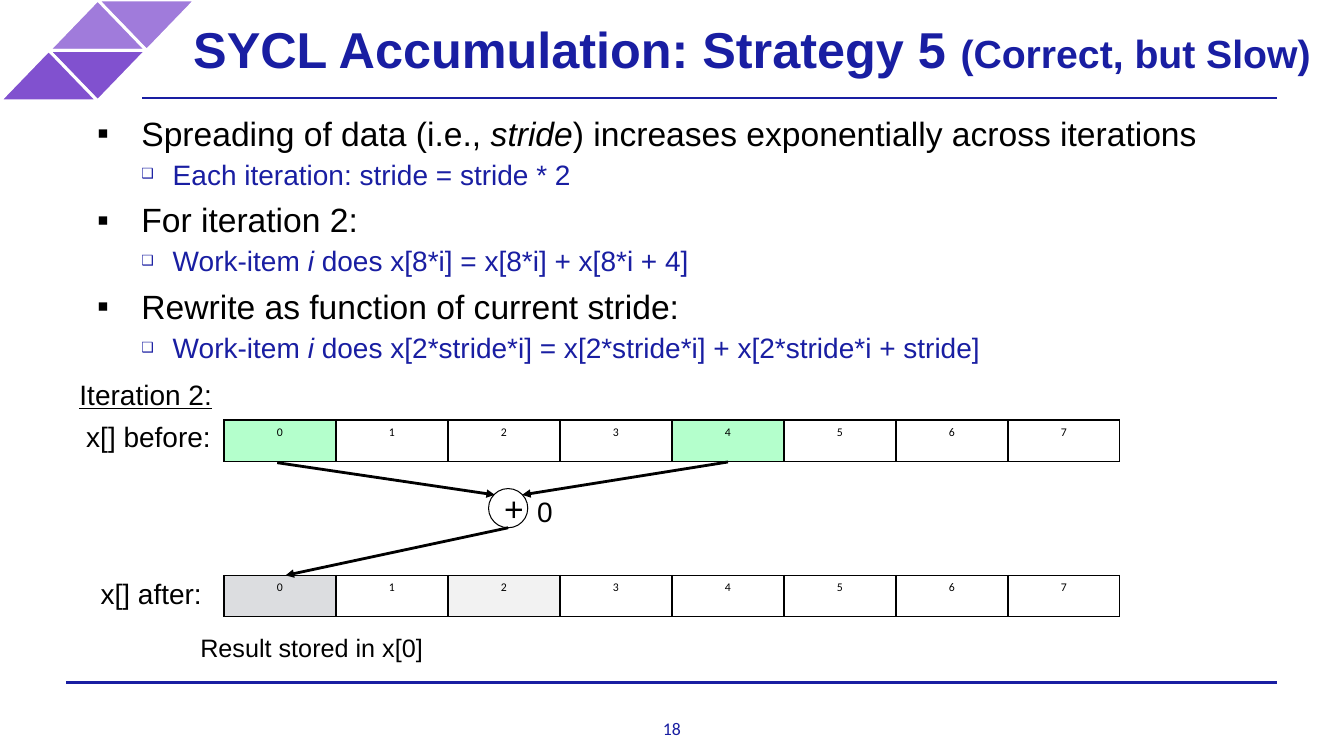
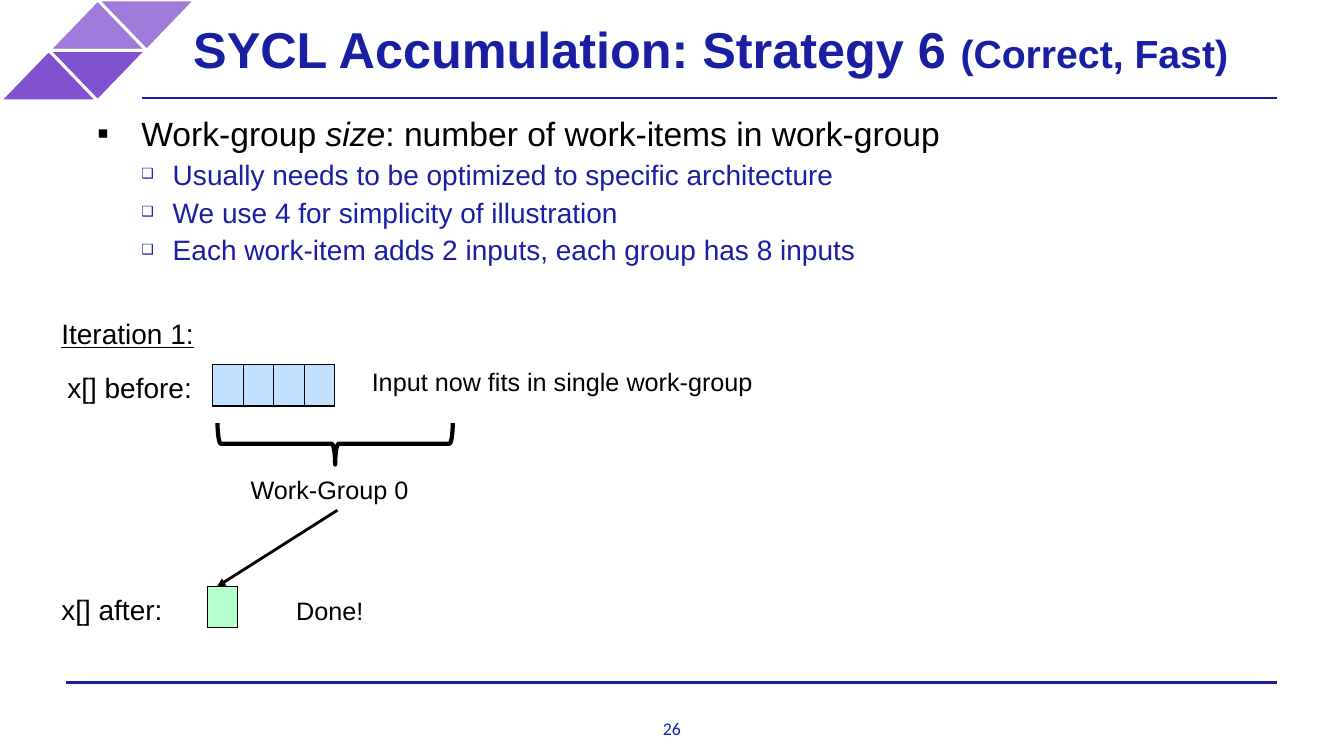
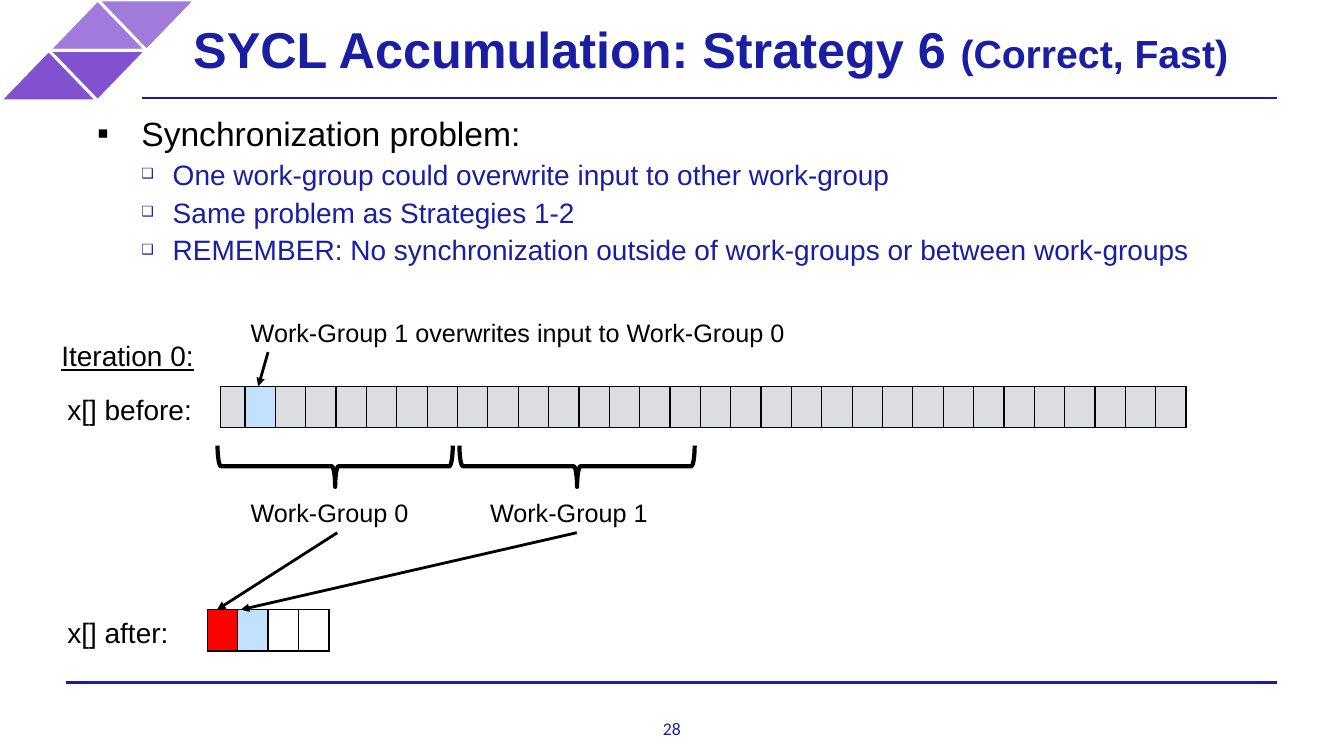
from lxml.etree import SubElement
from pptx import Presentation
from pptx.dml.color import RGBColor
from pptx.enum.shapes import MSO_CONNECTOR, MSO_SHAPE
from pptx.enum.text import MSO_ANCHOR, PP_ALIGN
from pptx.oxml.ns import qn
from pptx.util import Pt

COLORS = {
    "navy": "191EA2", "black": "000000", "white": "FFFFFF", "lilac": "A07BDB",
    "violet": "8151CF", "green": "B4FFCC", "blue": "C1E1FE", "gray": "DCDDE0",
    "pale": "F2F2F2", "red": "FF0000",
}
FORMATS = {
    "title": {"name": "Arial", "size": 36, "bold": True, "color": "navy"},
    "subtitle": {"name": "Arial", "size": 28, "bold": True, "color": "navy"},
    "page": {"name": "Calibri", "size": 12.7, "color": "navy"},
    "label": {"name": "Arial", "size": 20, "color": "black"},
    "heading": {"name": "Arial", "size": 20, "color": "black", "underline": True},
    "note": {"name": "Arial", "size": 18, "color": "black"},
    "plus": {"name": "Arial", "size": 24, "color": "black"},
    "cell": {"name": "Calibri", "size": 8.4, "color": "black"},
}
# Bullet levels: left margin, hanging indent, space before, sign, sign size in %
LEVELS = [
    {"left": 36, "hang": 31.7, "before": 6, "sign": "▪", "percent": 100,
     "format": {"name": "Arial", "size": 24, "color": "black"}},
    {"left": 58.4, "hang": 22.4, "before": 3, "sign": "❑", "percent": 50,
     "format": {"name": "Arial", "size": 20, "color": "navy"}},
]
# Triangles of the corner ornament: left, top, rotation, fill
TRIANGLES = [(70, 0, 180, "lilac"), (35, 0, 0, "lilac"),
             (35, 36, 180, "violet"), (0, 36, 0, "violet")]
RULES = [(47.5, 487.5, 912, 487.5), (101.5, 70, 912, 70)]
ROW_HEIGHT = 29.5
LABEL_HEIGHT = 27.5
SLOT = 21.75

# Bullets: level and text, with _italic_ parts
# Labels: format, text, left, top, width
# Rows: left, top, column widths, fills, cell texts
# Groups: number, brace centre, label left, brace middle, arrow target
SLIDES = [
    {
        "page": "18",
        "title": ("SYCL Accumulation: Strategy 5 ", "(Correct, but Slow)"),
        "bullets": [
            (0, "Spreading of data (i.e., _stride_) increases exponentially across iterations"),
            (1, "Each iteration: stride = stride * 2"),
            (0, "For iteration 2:"),
            (1, "Work-item _i _does x[8*i] = x[8*i] + x[8*i + 4]"),
            (0, "Rewrite as function of current stride:"),
            (1, "Work-item _i _does x[2*stride*i] = x[2*stride*i] + x[2*stride*i + stride]"),
        ],
        "rows": [
            (160, 300, [80] * 8,
             ["green"] + ["white"] * 3 + ["green"] + ["white"] * 3, "01234567"),
            (160, 411, [80] * 8,
             ["gray", "white", "pale"] + ["white"] * 5, "01234567"),
        ],
        "sums": [(349, 349, 28)],
        "labels": [
            ("heading", "Iteration 2:", 49.7, 270, 110),
            ("label", "x[] before:", 54.5, 300, 110),
            ("label", "x[] after:", 64.8, 412, 110),
            ("label", "0", 376.5, 354, 21),
            ("note", "Result stored in x[0]", 136, 449.5, 227),
        ],
        "arrows": [(198, 330.5, 353.5, 353.5), (520, 330, 373, 353.5),
                   (363, 377, 204, 411)],
    },
    {
        "page": "26",
        "title": ("SYCL Accumulation: Strategy 6 ", "(Correct, Fast)"),
        "bullets": [
            (0, "Work-group _size_: number of work-items in work-group"),
            (1, "Usually needs to be optimized to specific architecture"),
            (1, "We use 4 for simplicity of illustration"),
            (1, "Each work-item adds 2 inputs, each group has 8 inputs"),
        ],
        "rows": [
            (152, 260.5, [SLOT] * 4, ["blue"] * 4, ""),
            (148, 419, [SLOT], ["green"], ""),
        ],
        "labels": [
            ("heading", "Iteration 1:", 36.7, 226.5, 110),
            ("label", "x[] before:", 41, 265, 110),
            ("label", "x[] after:", 36.7, 424, 110),
            ("note", "Input now fits in single work-group", 258.5, 259.5, 405),
            ("note", "Done!", 204.5, 423, 69),
        ],
        "groups": [(0, 239.4, 172, 317, (155, 419))],
    },
    {
        "page": "28",
        "title": ("SYCL Accumulation: Strategy 6 ", "(Correct, Fast)"),
        "bullets": [
            (0, "Synchronization problem:"),
            (1, "One work-group could overwrite input to other work-group"),
            (1, "Same problem as Strategies 1-2"),
            (1, "REMEMBER: No synchronization outside of work-groups or between work-groups"),
        ],
        "rows": [
            (157.5, 276, [17.5] + [21.7] * 31,
             ["gray", "blue"] + ["gray"] * 30, ""),
            (148, 435.5, [SLOT] * 4, ["red", "blue", "white", "white"], ""),
        ],
        "labels": [
            ("heading", "Iteration 0:", 36.7, 242.5, 110),
            ("label", "x[] before:", 41, 281, 110),
            ("label", "x[] after:", 41, 440, 110),
            ("note", "Work-Group 1 overwrites input to Work-Group 0", 172, 225, 403),
        ],
        "groups": [(0, 239.4, 172, 333, (155, 435.5)),
                   (1, 412.2, 343, 333, (172, 435.5))],
        "arrows": [(191.5, 251.5, 184.5, 276)],
    },
]


def rgb(name):
    return RGBColor.from_string(COLORS[name])


def add_run(p, text, fmt):
    r = p.add_run()
    r.text = text
    for key, value in fmt.items():
        if key == "color":
            r.font.color.rgb = rgb(value)
        else:
            setattr(r.font, key, Pt(value) if key == "size" else value)


def add_box(s, left, top, width, height, inset=None):
    box = s.shapes.add_textbox(Pt(left), Pt(top), Pt(width), Pt(height))
    tf = box.text_frame
    tf.word_wrap = True
    if inset is not None:
        for side in ("left", "top", "right", "bottom"):
            setattr(tf, f"margin_{side}", Pt(inset))
    return box


def add_preset(s, kind, left, top, width, height, line, weight, fill=None):
    sp = s.shapes.add_shape(kind, Pt(left), Pt(top), Pt(width), Pt(height))
    sp.shadow.inherit = False
    if fill:
        sp.fill.solid()
        sp.fill.fore_color.rgb = rgb(fill)
    else:
        sp.fill.background()
    sp.line.color.rgb = rgb(line)
    sp.line.width = Pt(weight)
    return sp


def add_line(s, ends, color, arrow=False):
    c = s.shapes.add_connector(MSO_CONNECTOR.STRAIGHT, *(Pt(v) for v in ends))
    c.line.color.rgb = rgb(color)
    c.line.width = Pt(2)
    props = c.element.spPr
    if arrow:
        SubElement(props.find(qn("a:ln")), qn("a:tailEnd"), type="triangle")
    SubElement(props, qn("a:effectLst"))
    return c


def add_label(s, fmt, text, left, top, width):
    box = add_box(s, left, top, width, LABEL_HEIGHT)
    p = box.text_frame.paragraphs[0]
    p.line_spacing = Pt(20)
    add_run(p, text, FORMATS[fmt])
    return box


def add_frame(s, title, page):
    """Draw what all slides share: rules, ornament, title and page number."""
    for ends in RULES:
        add_line(s, ends, "navy")
    for left, top, rotation, fill in TRIANGLES:
        sp = add_preset(s, MSO_SHAPE.ISOSCELES_TRIANGLE, left, top, 69.5, 36,
                        "white", 2, fill)
        sp.rotation = rotation
    tf = add_box(s, 128, 0, 822, 68.4, 10).text_frame
    tf.vertical_anchor = MSO_ANCHOR.MIDDLE
    for text, fmt in zip(title, ("title", "subtitle")):
        add_run(tf.paragraphs[0], text, FORMATS[fmt])
    p = add_box(s, 460, 512.6, 40, 15.4, 0).text_frame.paragraphs[0]
    p.alignment = PP_ALIGN.CENTER
    add_run(p, page, FORMATS["page"])


def add_bullets(s, bullets):
    tf = add_box(s, 65, 80.6, 890, 185, 0).text_frame
    for i, (depth, text) in enumerate(bullets):
        p = tf.add_paragraph() if i else tf.paragraphs[0]
        level = LEVELS[depth]
        p.level = depth
        if i:
            p._p.get_or_add_pPr()
            p.space_before = Pt(level["before"])
        props = p._p.get_or_add_pPr()
        props.set("marL", str(Pt(level["left"])))
        props.set("indent", str(-Pt(level["hang"])))
        SubElement(props, qn("a:buSzPct"), val=str(level["percent"] * 1000))
        SubElement(props, qn("a:buFont"), typeface="Arial")
        SubElement(props, qn("a:buChar"), char=level["sign"])
        for j, part in enumerate(text.split("_")):
            add_run(p, part, {**level["format"], "italic": j % 2 == 1})


def add_row(s, left, top, widths, fills, texts):
    frame = s.shapes.add_table(1, len(widths), Pt(left), Pt(top),
                               Pt(sum(widths)), Pt(ROW_HEIGHT))
    table = frame.table
    table.first_row = table.horz_banding = False
    table.rows[0].height = Pt(ROW_HEIGHT)
    for i, (width, fill) in enumerate(zip(widths, fills)):
        table.columns[i].width = Pt(width)
        cell = table.cell(0, i)
        cell.margin_left = cell.margin_right = 0
        props = cell._tc.get_or_add_tcPr()
        for side in "LRTB":
            ln = SubElement(props, qn(f"a:ln{side}"), w=str(Pt(1)))
            solid = SubElement(ln, qn("a:solidFill"))
            SubElement(solid, qn("a:srgbClr"), val=COLORS["black"])
        cell.fill.solid()
        cell.fill.fore_color.rgb = rgb(fill)
        if texts:
            p = cell.text_frame.paragraphs[0]
            p.alignment = PP_ALIGN.CENTER
            add_run(p, texts[i], FORMATS["cell"])


def add_sum(s, left, top, size):
    sp = add_preset(s, MSO_SHAPE.OVAL, left, top, size, size, "black", 0.75)
    tf = sp.text_frame
    tf.vertical_anchor = MSO_ANCHOR.MIDDLE
    p = tf.paragraphs[0]
    p.alignment = PP_ALIGN.LEFT
    add_run(p, "+", FORMATS["plus"])


def add_group(s, number, centre, label_left, middle, target):
    """Draw a brace, the work-group's name below it and an arrow to its result."""
    depth, span = 29.5, 168
    brace = add_preset(s, MSO_SHAPE.LEFT_BRACE, centre - depth / 2,
                       middle - span / 2, depth, span, "black", 3)
    brace.rotation = 270
    label = add_label(s, "note", f"Work-Group {number}", label_left, middle + 20, 138)
    arrow = add_line(s, (0, 0, *target), "black", arrow=True)
    arrow.begin_connect(label, 2)


def main():
    prs = Presentation()
    prs.slide_width, prs.slide_height = Pt(960), Pt(540)
    for content in SLIDES:
        s = prs.slides.add_slide(prs.slide_layouts[6])
        add_frame(s, content["title"], content["page"])
        add_bullets(s, content["bullets"])
        for key, draw in (("rows", add_row), ("sums", add_sum),
                          ("labels", add_label), ("groups", add_group)):
            for item in content.get(key, []):
                draw(s, *item)
        for ends in content.get("arrows", []):
            add_line(s, ends, "black", arrow=True)
    prs.save("out.pptx")


if __name__ == "__main__":
    main()
